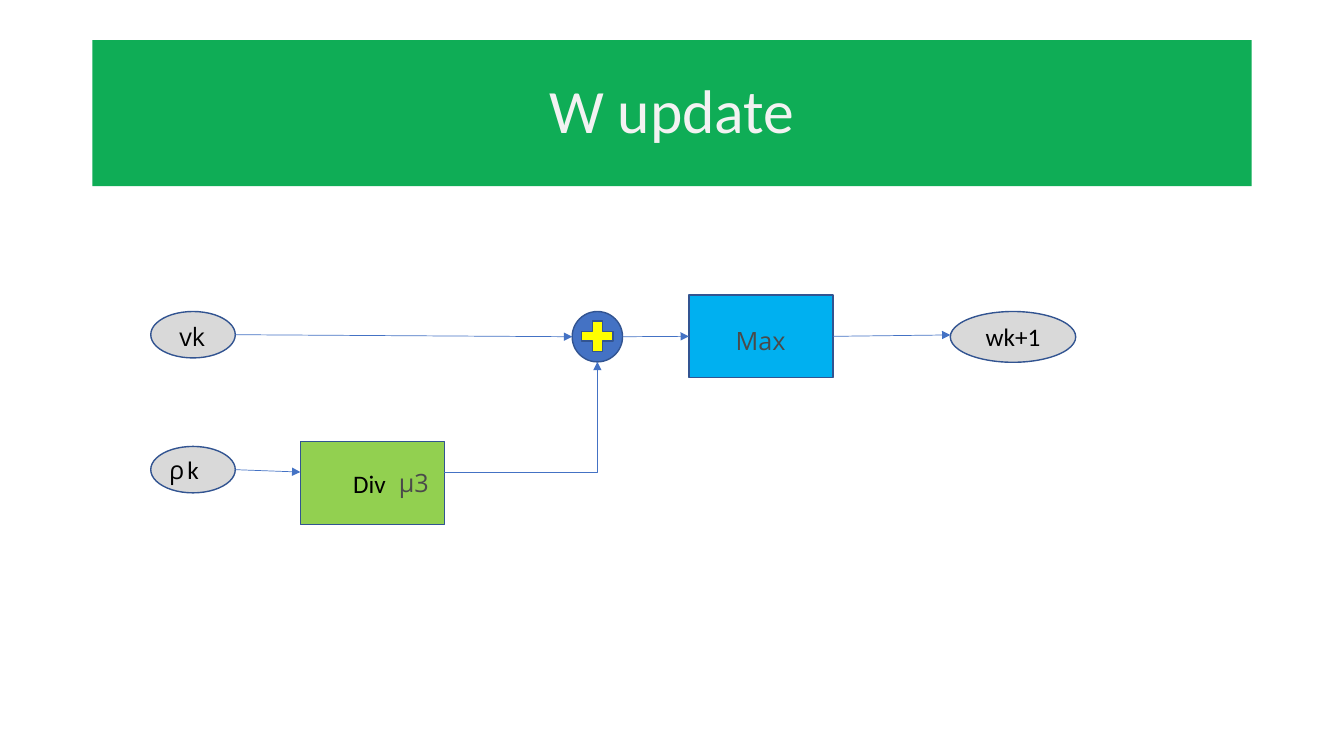
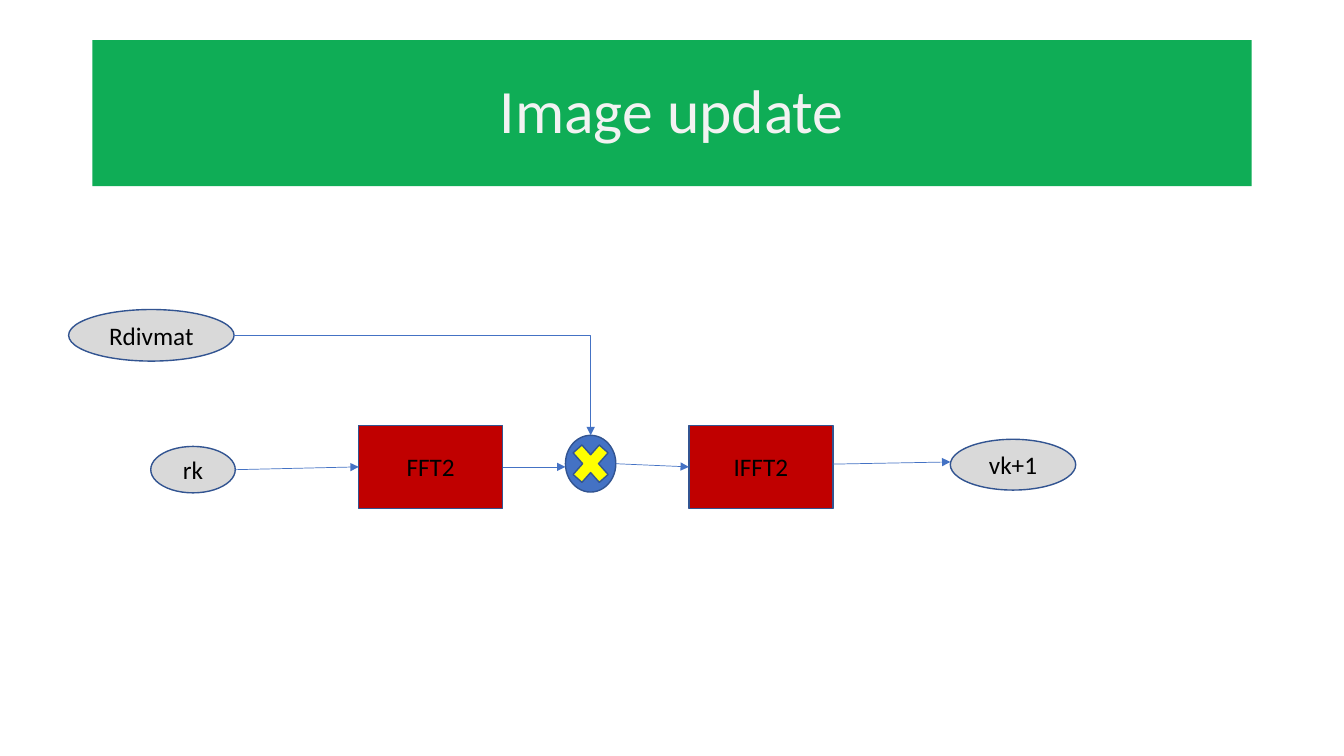
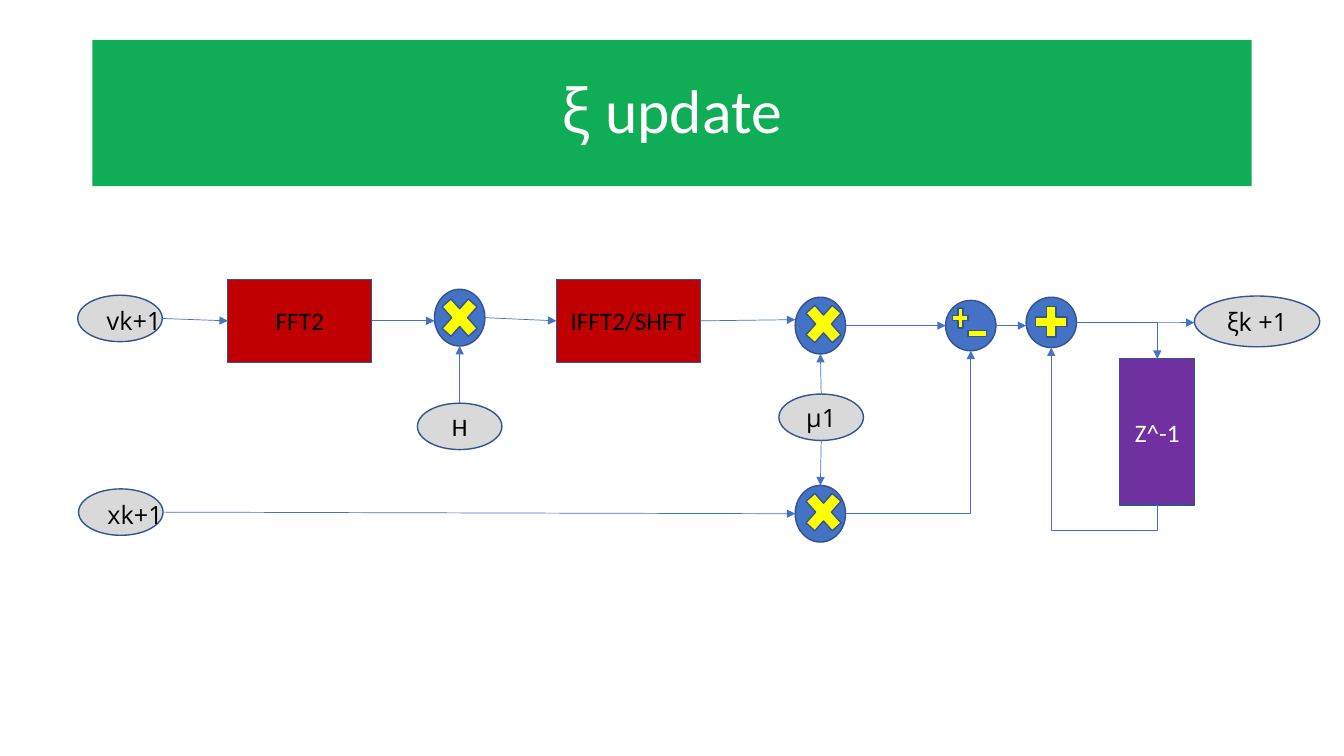
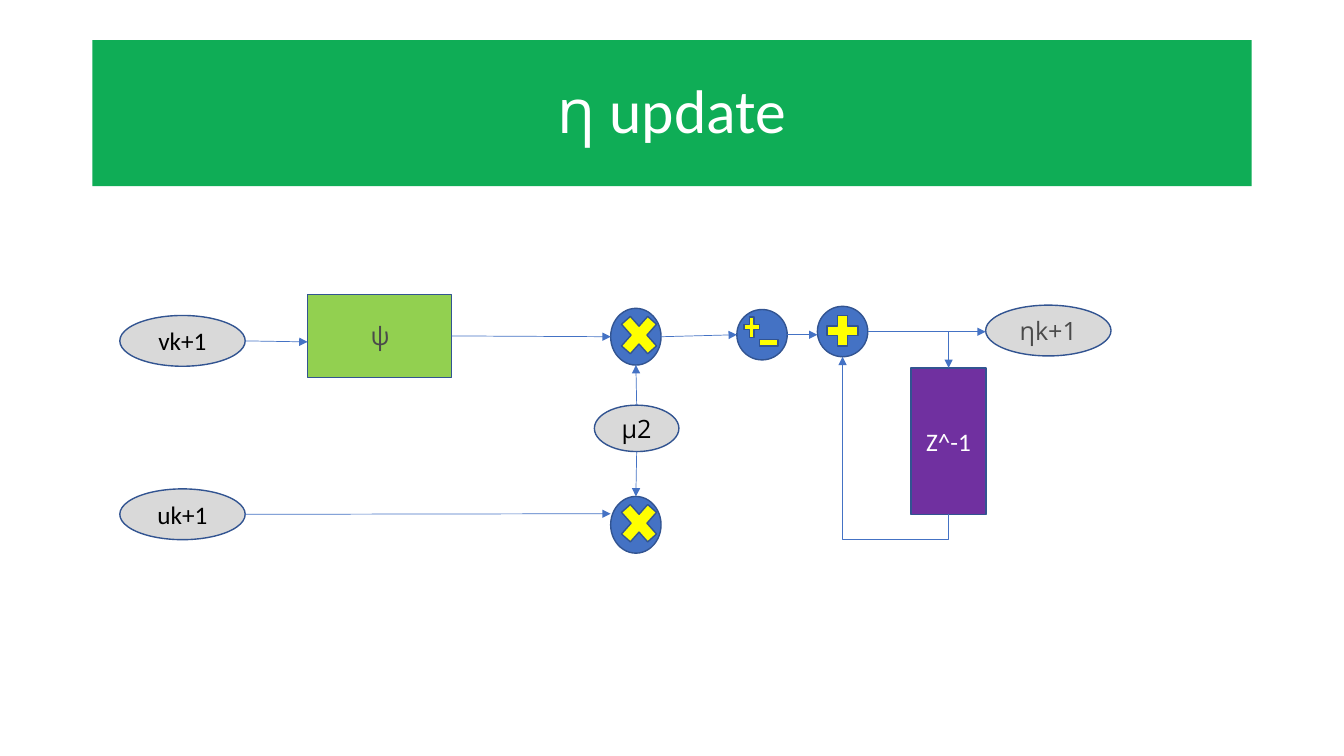
"""Build four block diagrams of the update steps of an iterative solver."""
from dataclasses import dataclass

from lxml.etree import SubElement
from pptx import Presentation
from pptx.dml.color import RGBColor
from pptx.enum.shapes import MSO_CONNECTOR, MSO_SHAPE
from pptx.enum.text import MSO_ANCHOR, MSO_AUTO_SIZE, PP_ALIGN
from pptx.oxml.ns import qn
from pptx.util import Cm, Pt


@dataclass(frozen=True)
class Theme:
    band: str = "0FAD56"
    pale: str = "F2F2F2"
    white: str = "FFFFFF"
    black: str = "000000"
    grey: str = "4A4A4A"
    oval: str = "D9D9D9"
    green: str = "92D050"
    red: str = "C00000"
    sky: str = "00B0F0"
    purple: str = "7030A0"
    blue: str = "4472C4"
    yellow: str = "FFFF00"
    outline: str = "325491"
    latin: str = "Calibri"
    greek: str = "Open Sans"
    title_pt: int = 44
    text_pt: int = 18
    outline_pt: float = 1
    wire_pt: float = 0.5


T = Theme()
TITLE_BOX = (2.33, 1.01, 29.21, 3.68)
LABEL_HEIGHT = 1.02
LOOP_DROP = 0.64

OVAL, RECT, DISC = MSO_SHAPE.OVAL, MSO_SHAPE.RECTANGLE, MSO_SHAPE.FLOWCHART_CONNECTOR
PLUS, MINUS, TIMES = MSO_SHAPE.MATH_PLUS, MSO_SHAPE.MATH_MINUS, MSO_SHAPE.MATH_MULTIPLY

KINDS = {
    "oval": (OVAL, 2.13, 1.17, T.oval),
    "wide": (OVAL, 3.16, 1.28, T.oval),
    "widest": (OVAL, 4.17, 1.3, T.oval),
    "fft": (RECT, 3.63, 2.09, T.red),
    "scale": (RECT, 3.63, 2.09, T.green),
    "max": (RECT, 3.63, 2.09, T.sky),
    "delay": (RECT, 1.89, 3.69, T.purple),
    "add": (DISC, 1.27, 1.27, T.blue),
    "addsub": (DISC, 1.27, 1.27, T.blue),
    "mul": (DISC, 1.27, 1.43, T.blue),
    "mul_shifted": (DISC, 1.27, 1.43, T.blue),
}
SIGNS = {
    "add": [(PLUS, 0.1, 0.1, 1.07, 1.04)],
    "addsub": [(PLUS, 0.11, 0.1, 0.53, 0.69), (MINUS, 0.48, 0.51, 0.64, 0.66)],
    "mul": [(TIMES, 0, 0, 1.27, 1.43)],
    "mul_shifted": [(TIMES, 0.08, -0.04, 1.27, 1.43)],
}
SIDES = {"l": (0, 0.5), "r": (1, 0.5), "t": (0.5, 0), "b": (0.5, 1)}

GREEK = {"font": T.greek}
GREY = {"font": T.greek, "color": T.grey}
WHITE = {"color": T.white}


def scaler(x, y, text):
    """Return two multipliers that share one factor, with its wires."""
    nodes = [("mul_top", "mul_shifted", x, y, "", {}),
             ("mu", "oval", x - 0.41, y + 2.44, text, GREEK),
             ("mul_low", "mul_shifted", x, y + 4.74, "", {})]
    wires = [("line", ("mu", "t"), ("mul_top", "b")),
             ("line", ("mu", "b"), ("mul_low", "t"))]
    return nodes, wires


def accumulator(x, y, text, fmt):
    """Return the difference, running sum and delay, with their wires."""
    nodes = [("diff", "addsub", x, y, "", {}),
             ("sum", "add", x + 2.03, y - 0.08, "", {}),
             ("delay", "delay", x + 4.39, y + 1.47, "Z^-1", WHITE),
             ("out", "wide", x + 6.27, y - 0.11, text, fmt)]
    wires = [("line", ("diff", "r"), ("sum", "l", 0.08)),
             ("bent", ("sum", "r"), ("delay", "t")),
             ("loop", ("delay", "b"), ("sum", "b")),
             ("line", (x + 5.33, y + 0.56), ("out", "l", 0.03))]
    return nodes, wires


XI_SCALER, XI_SUM = scaler(20.04, 7.49, "μ1"), accumulator(23.83, 7.57, "ξk +1", GREEK)
ETA_SCALER, ETA_SUM = scaler(15.39, 7.77, "μ2"), accumulator(18.57, 7.8, "ηk+1", GREY)

SLIDES = [
    {
        "title": [("W update", T.latin)], "color": T.pale,
        "nodes": [
            ("v", "oval", 3.8, 7.85, "", {}),
            ("rho", "oval", 3.8, 11.25, "k", {}),
            ("div", "scale", 7.57, 11.13, "Div ", {}),
            ("sum", "add", 14.42, 7.85, "", {}),
            ("max", "max", 17.36, 7.43, "", {}),
            ("w", "wide", 23.95, 7.85, "wk+1", {}),
        ],
        "labels": [
            (4.27, 7.98, 1.27, "vk", T.black),
            (4.01, 11.33, 1.09, "ρ", T.black),
            (9.8, 11.66, 1.93, "μ3", T.grey),
            (18.29, 8.08, 1.88, "Max", T.grey),
        ],
        "wires": [
            ("line", ("v", "r"), ("sum", "l")),
            ("line", ("rho", "r"), ("div", "l", -0.28)),
            ("bent", ("div", "r", -0.28), ("sum", "b")),
            ("line", ("sum", "r"), ("max", "l")),
            ("line", ("max", "r"), ("w", "l", -0.05)),
        ],
    },
    {
        "title": [("Image update", T.latin)], "color": T.pale,
        "nodes": [
            ("rdiv", "widest", 1.73, 7.8, "Rdivmat", {}),
            ("r", "oval", 3.8, 11.25, "rk", {}),
            ("fft", "fft", 9.04, 10.72, "FFT2", {}),
            ("mul", "mul", 14.25, 10.97, "", {}),
            ("ifft", "fft", 17.36, 10.72, "IFFT2", {}),
            ("v", "wide", 23.95, 11.07, "vk+1", {}),
        ],
        "labels": [],
        "wires": [
            ("bent", ("rdiv", "r"), ("mul", "t")),
            ("line", ("r", "r"), ("fft", "l")),
            ("line", ("fft", "r"), ("mul", "l", 0.08)),
            ("line", ("mul", "r"), ("ifft", "l")),
            ("line", ("ifft", "r", -0.07), ("v", "l", -0.07)),
        ],
    },
    {
        "title": [("ξ", T.greek), (" update", T.latin)], "color": T.white,
        "nodes": [
            ("v", "oval", 1.96, 7.44, "", {}),
            ("x", "oval", 1.98, 12.32, "", {}),
            ("fft", "fft", 5.74, 7.04, "FFT2", {}),
            ("mul", "mul", 10.95, 7.29, "", {}),
            ("h", "oval", 10.52, 10.16, "H", {}),
            ("ifft", "fft", 14.02, 7.04, "IFFT2/SHFT", {}),
            *XI_SCALER[0], *XI_SUM[0],
        ],
        "labels": [
            (2.44, 7.57, 2.13, "vk+1", T.black),
            (2.46, 12.45, 2.13, "xk+1", T.black),
        ],
        "wires": [
            ("line", ("v", "r"), ("fft", "l")),
            ("line", ("fft", "r"), ("mul", "l", 0.08)),
            ("line", ("h", "t"), ("mul", "b")),
            ("line", ("mul", "r"), ("ifft", "l")),
            ("line", ("ifft", "r"), ("mul_top", "l", -0.15)),
            ("line", ("x", "r"), ("mul_low", "l")),
            ("line", ("mul_top", "r"), ("diff", "l")),
            ("bent", ("mul_low", "r"), ("diff", "b")),
            *XI_SCALER[1], *XI_SUM[1],
        ],
    },
    {
        "title": [("η", T.greek), (" update", T.latin)], "color": T.white,
        "nodes": [
            ("v", "wide", 3.02, 7.95, "vk+1", {}),
            ("u", "wide", 3.02, 12.32, "uk+1", {}),
            ("psi", "scale", 7.75, 7.42, "", {}),
            *ETA_SCALER[0], *ETA_SUM[0],
        ],
        "labels": [(9.09, 7.95, 1.3, "ψ", T.grey)],
        "wires": [
            ("line", ("v", "r"), ("psi", "l", 0.15)),
            ("line", ("psi", "r"), ("mul_top", "l")),
            ("line", ("u", "r"), ("mul_low", "l", -0.28)),
            ("line", ("mul_top", "r"), ("diff", "l")),
            *ETA_SCALER[1], *ETA_SUM[1],
        ],
    },
]


def rgb(color):
    return RGBColor.from_string(color)


def write(tf, text, font=T.latin, size=T.text_pt, color=T.black, align=PP_ALIGN.CENTER):
    p = tf.paragraphs[0]
    p.alignment = align
    r = p.add_run()
    r.text = text
    r.font.name, r.font.size = font, Pt(size)
    r.font.color.rgb = rgb(color)


def add_title(s, runs, color):
    sp = s.shapes.title
    sp.left, sp.top, sp.width, sp.height = map(Cm, TITLE_BOX)
    sp.fill.solid()
    sp.fill.fore_color.rgb = rgb(T.band)
    tf = sp.text_frame
    tf.vertical_anchor = MSO_ANCHOR.MIDDLE
    for text, font in runs:
        write(tf, text, font=font, size=T.title_pt, color=color)
    tf.paragraphs[0].line_spacing = 0.9


def add_block(s, shape, x, y, w, h, fill):
    sp = s.shapes.add_shape(shape, Cm(x), Cm(y), Cm(w), Cm(h))
    sp.shadow.inherit = False
    sp.fill.solid()
    sp.fill.fore_color.rgb = rgb(fill)
    sp.line.color.rgb = rgb(T.outline)
    sp.line.width = Pt(T.outline_pt)
    return sp


def add_node(s, kind, x, y, text, fmt):
    shape, w, h, fill = KINDS[kind]
    sp = add_block(s, shape, x, y, w, h, fill)
    if text:
        sp.text_frame.vertical_anchor = MSO_ANCHOR.MIDDLE
        write(sp.text_frame, text, **fmt)
    for sign, dx, dy, sign_w, sign_h in SIGNS.get(kind, []):
        add_block(s, sign, x + dx, y + dy, sign_w, sign_h, T.yellow)
    return x, y, w, h


def add_label(s, x, y, w, text, color):
    tf = s.shapes.add_textbox(Cm(x), Cm(y), Cm(w), Cm(LABEL_HEIGHT)).text_frame
    tf.word_wrap = True
    tf.auto_size = MSO_AUTO_SIZE.SHAPE_TO_FIT_TEXT
    write(tf, text, font=T.greek, color=color, align=PP_ALIGN.LEFT)


def locate(boxes, end):
    if end[0] not in boxes:
        return end
    name, side, *shift = end
    x, y, w, h = boxes[name]
    fx, fy = SIDES[side]
    return x + fx * w, y + fy * h + sum(shift)


def add_wire(s, kind, start, end):
    (x1, y1), (x2, y2) = start, end
    if kind == "loop":
        cx, cy = (x1 + x2) / 2, (y1 + y2) / 2
        run, rise = y1 - y2, x1 - x2
        x1, x2 = cx + run / 2, cx - run / 2
        y1, y2 = cy - rise / 2, cy + rise / 2
    shape = MSO_CONNECTOR.STRAIGHT if kind == "line" else MSO_CONNECTOR.ELBOW
    c = s.shapes.add_connector(shape, Cm(x1), Cm(y1), Cm(x2), Cm(y2))
    c.line.color.rgb = rgb(T.blue)
    c.line.width = Pt(T.wire_pt)
    pr = c._element.spPr
    geom = pr.find(qn("a:prstGeom"))
    if kind == "bent":
        geom.set("prst", "bentConnector2")
    if kind == "loop":
        pr.find(qn("a:xfrm")).set("rot", "5400000")
        guides = geom.find(qn("a:avLst"))
        if guides is None:
            guides = SubElement(geom, qn("a:avLst"))
        adj = round(-LOOP_DROP / run * 100000)
        SubElement(guides, qn("a:gd"), name="adj1", fmla=f"val {adj}")
    SubElement(pr.find(qn("a:ln")), qn("a:tailEnd"), type="triangle")
    SubElement(pr, qn("a:effectLst"))


def main():
    prs = Presentation()
    prs.slide_width, prs.slide_height = Cm(33.87), Cm(19.05)
    for page in SLIDES:
        s = prs.slides.add_slide(prs.slide_layouts[5])
        add_title(s, page["title"], page["color"])
        boxes = {name: add_node(s, *node) for name, *node in page["nodes"]}
        for label in page["labels"]:
            add_label(s, *label)
        for kind, start, end in page["wires"]:
            add_wire(s, kind, locate(boxes, start), locate(boxes, end))
    prs.save("out.pptx")


if __name__ == "__main__":
    main()
